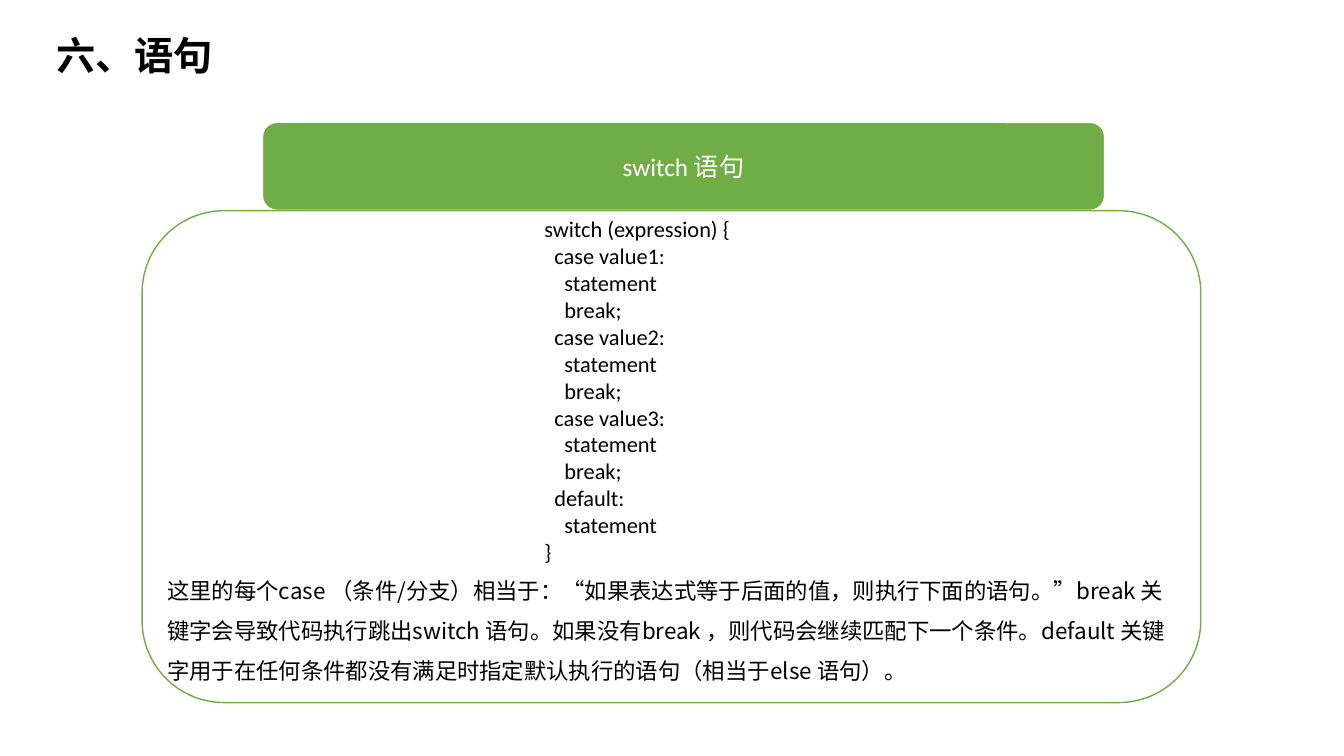
from dataclasses import dataclass

import pptx
import pptx.dml.color
import pptx.enum.shapes
import pptx.enum.text
import pptx.oxml.ns
import pptx.util
from lxml import etree

Inches = pptx.util.Inches
PP_ALIGN = pptx.enum.text.PP_ALIGN
MSO_ANCHOR = pptx.enum.text.MSO_ANCHOR
CJK_FONT = "Noto Sans CJK SC"
CODE_INDENT = 0.1


@dataclass
class Box:
    left: float
    top: float
    width: float
    height: float

    def lengths(self) -> tuple:
        return tuple(Inches(v) for v in (self.left, self.top, self.width, self.height))


@dataclass
class Panel:
    box: Box
    fill: str
    line: str
    line_width: float


@dataclass
class Style:
    size: float
    color: str = "000000"
    font: str = "Calibri"
    bold: bool = False
    align: PP_ALIGN = PP_ALIGN.LEFT
    spacing: float = 1.0


@dataclass
class Line:
    text: str
    level: int = 0


HEADER = Panel(Box(2.6, 1.21, 8.36, 0.88), "70AD47", "FFFFFF", 1.5)
BODY = Panel(Box(1.41, 2.09, 10.5, 4.88), "FFFFFF", "70AD47", 1)

EXPLANATION = (
    "这里的每个case （条件/分支）相当于：“如果表达式等于后面的值，则执行下面的语句。”"
    "break 关键字会导致代码执行跳出switch 语句。如果没有break ，则代码会继续匹配下一个条件。"
    "default 关键字用于在任何条件都没有满足时指定默认执行的语句（相当于else 语句）。"
)

CASES = [
    line
    for n in (1, 2, 3)
    for line in (Line(f"case value{n}:", 1), Line("statement", 2), Line("break;", 2))
]
CODE = [Line("switch (expression) {"), *CASES,
        Line("default:", 1), Line("statement", 2), Line("}")]


def rgb(color: str) -> pptx.dml.color.RGBColor:
    return pptx.dml.color.RGBColor.from_string(color)


def write(tf, lines: list[Line], style: Style, anchor=MSO_ANCHOR.TOP) -> None:
    tf.word_wrap = True
    tf.auto_size = pptx.enum.text.MSO_AUTO_SIZE.NONE
    tf.vertical_anchor = anchor
    for i, line in enumerate(lines):
        p = tf.paragraphs[0] if i == 0 else tf.add_paragraph()
        p.alignment = style.align
        p.line_spacing = style.spacing
        if line.level:
            p._p.get_or_add_pPr().set("marL", str(Inches(CODE_INDENT * line.level)))
        r = p.add_run()
        r.text = line.text
        for font in (p.font, r.font):
            font.size = pptx.util.Pt(style.size)
            font.name = style.font
            font.bold = style.bold
            font.color.rgb = rgb(style.color)
            ea = etree.Element(pptx.oxml.ns.qn("a:ea"), typeface=CJK_FONT)
            font._element.find(pptx.oxml.ns.qn("a:latin")).addnext(ea)


def add_panel(s, panel: Panel):
    sp = s.shapes.add_shape(
        pptx.enum.shapes.MSO_SHAPE.ROUNDED_RECTANGLE, *panel.box.lengths())
    sp.shadow.inherit = False
    sp.fill.solid()
    sp.fill.fore_color.rgb = rgb(panel.fill)
    sp.line.color.rgb = rgb(panel.line)
    sp.line.width = pptx.util.Pt(panel.line_width)
    return sp


def add_text(s, box: Box, lines: list[Line], style: Style) -> None:
    write(s.shapes.add_textbox(*box.lengths()).text_frame, lines, style)


def main() -> None:
    prs = pptx.Presentation()
    prs.slide_width, prs.slide_height = Inches(13.33), Inches(7.5)
    s = prs.slides.add_slide(prs.slide_layouts.get_by_name("Title Only"))

    title = s.shapes.title
    title.left, title.top, title.width, title.height = Box(0.46, 0.26, 4.04, 0.57).lengths()
    write(title.text_frame, [Line("六、语句")], Style(28, bold=True))

    header = add_panel(s, HEADER)
    write(header.text_frame, [Line("switch 语句")],
          Style(18, "FFFFFF", align=PP_ALIGN.CENTER), MSO_ANCHOR.MIDDLE)
    add_panel(s, BODY)
    add_text(s, Box(1.56, 5.54, 10.2, 1.31), [Line(EXPLANATION)],
             Style(16, font=CJK_FONT, spacing=1.5))
    add_text(s, Box(5.3, 2.09, 2.95, 3.6), CODE, Style(16))

    prs.save("out.pptx")


if __name__ == "__main__":
    main()
